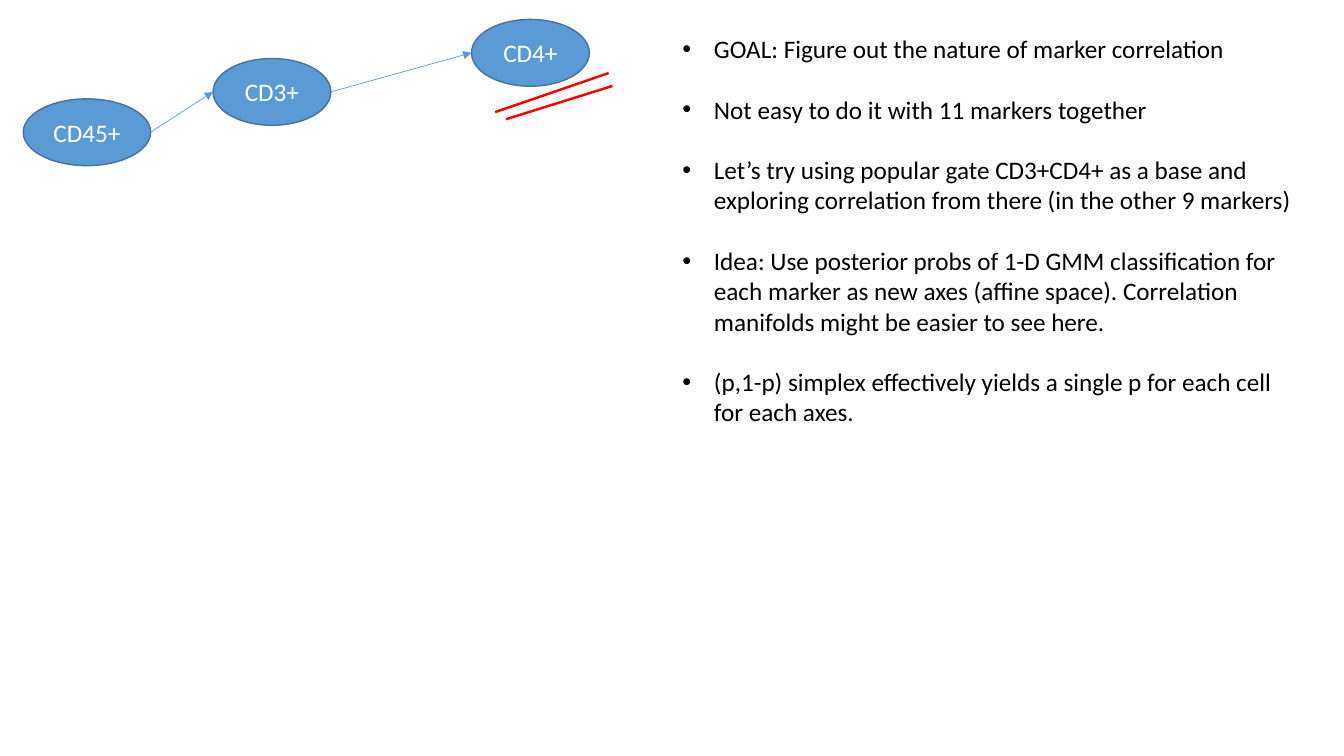
from pptx import Presentation
from pptx import util as u
from pptx.dml.color import RGBColor
from pptx.enum import shapes, text
from lxml import etree
from pptx.oxml import ns

BLUE = RGBColor(0x5B, 0x9B, 0xD5)
EDGE = RGBColor(0x43, 0x73, 0x9E)
RED = RGBColor(0xFF, 0, 0)
WHITE = RGBColor(0xFF, 0xFF, 0xFF)
BLACK = RGBColor(0, 0, 0)
Pt = u.Pt

deck = Presentation()
deck.slide_width, deck.slide_height = Pt(960), Pt(540)
slide = deck.slides.add_slide(deck.slide_layouts[6])


def style(par, color):
    for run in par.runs:
        run.font.name = "Calibri"
        run.font.size = Pt(18)
        run.font.color.rgb = color


def draw(start, end, color, width):
    line = slide.shapes.add_connector(
        shapes.MSO_CONNECTOR.STRAIGHT, *map(Pt, start + end))
    line.line.color.rgb = color
    line.line.width = Pt(width)
    etree.SubElement(line._element.spPr, ns.qn("a:effectLst"))
    return line


# Marker gates
HIGH = 47.7
gates = [("CD45+", 16.6, 70.6, 91), ("CD3+", 152.2, 41.8, 84.2),
         ("CD4+", 336.8, 13.9, 84.2)]
for name, left, top, width in gates:
    oval = slide.shapes.add_shape(
        shapes.MSO_SHAPE.FLOWCHART_CONNECTOR,
        Pt(left), Pt(top), Pt(width), Pt(HIGH))
    oval.shadow.inherit = False
    oval.fill.solid()
    oval.fill.fore_color.rgb = BLUE
    oval.line.color.rgb = EDGE
    oval.line.width = Pt(1)
    frame = oval.text_frame
    frame.text = name
    frame.word_wrap = False
    frame.vertical_anchor = text.MSO_ANCHOR.MIDDLE
    frame.paragraphs[0].alignment = text.PP_ALIGN.CENTER
    style(frame.paragraphs[0], WHITE)

# Arrows from each gate to the next
for (_, left, top, width), (_, goal, level, _) in zip(gates, gates[1:]):
    arrow = draw((left + width, top + HIGH / 2), (goal, level + HIGH / 2),
                 BLUE, 0.5)
    etree.SubElement(arrow.line._get_or_add_ln(), ns.qn("a:tailEnd"),
                     type="triangle")

# Red strokes under the last gate
draw((353.7, 80.1), (434.8, 52.2), RED, 1.75)
draw((361.4, 85.2), (437.5, 61.4), RED, 1.75)

# Notes on the approach
points = [
    "GOAL: Figure out the nature of marker correlation",
    "Not easy to do it with 11 markers together",
    "Let’s try using popular gate CD3+CD4+ as a base and exploring "
    "correlation from there (in the other 9 markers)",
    "Idea: Use posterior probs of 1-D GMM classification for each marker as "
    "new axes (affine space). Correlation manifolds might be easier to see "
    "here.",
    "(p,1-p) simplex effectively yields a single p for each cell for each "
    "axes.",
]
box = slide.shapes.add_textbox(Pt(480.4), Pt(20.2), Pt(454.4), Pt(291))
frame = box.text_frame
frame.text = "\n".join(points)
frame.word_wrap = True
frame.auto_size = text.MSO_AUTO_SIZE.SHAPE_TO_FIT_TEXT
for par in frame.paragraphs:
    style(par, BLACK)
    props = par._p.get_or_add_pPr()
    props.set("marL", str(Pt(22.5)))
    props.set("indent", str(-Pt(22.5)))
    etree.SubElement(props, ns.qn("a:buFont"), typeface="Arial")
    etree.SubElement(props, ns.qn("a:buChar"), char="•")
for par in frame.paragraphs[1:]:
    par.space_before = Pt(21.7)

deck.save("out.pptx")
